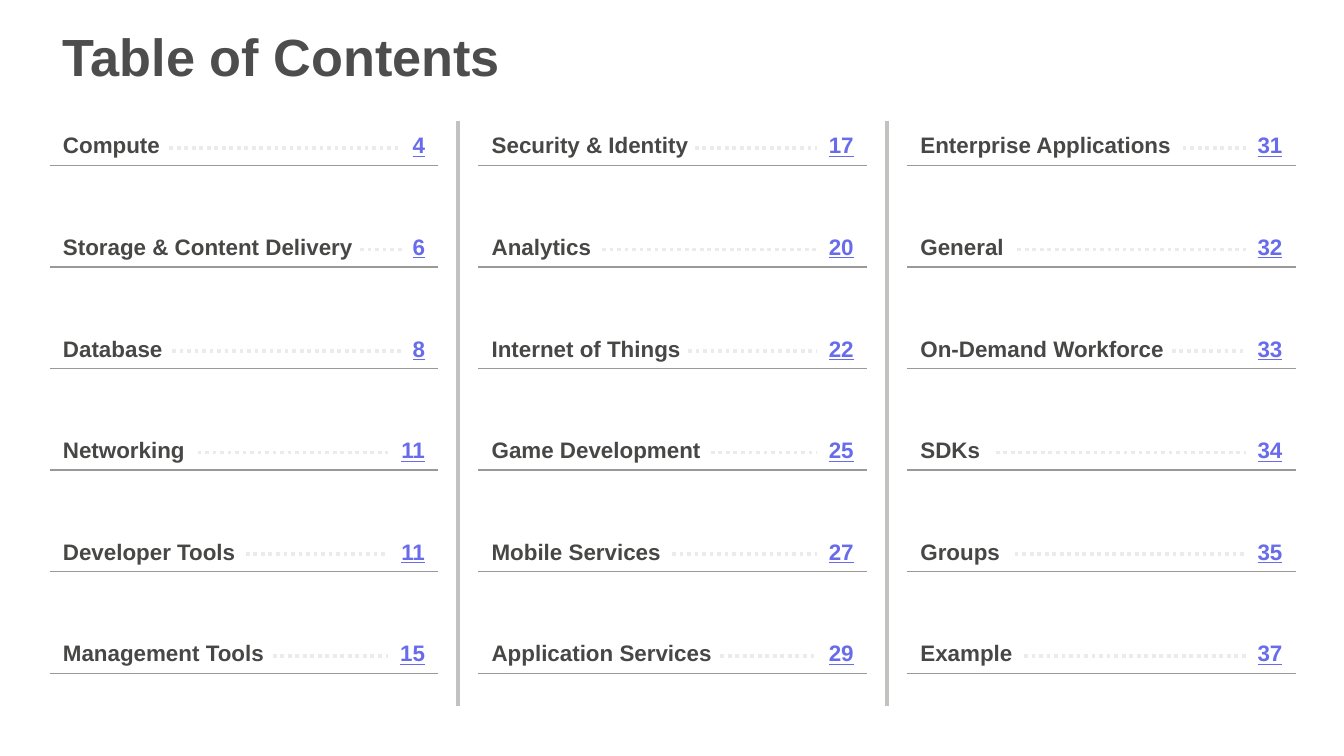
from lxml import etree
from pptx import Presentation, util as u
from pptx.dml.color import RGBColor
from pptx.enum import dml, shapes, text
from pptx.oxml.ns import qn

TITLE_GREY = RGBColor(0x4C, 0x4D, 0x4C)
LABEL_GREY = RGBColor(0x47, 0x47, 0x46)
LINK_BLUE = RGBColor(0x68, 0x6C, 0xEA)
DIVIDER_GREY = RGBColor(0xC2, 0xC2, 0xC1)
RULE_GREY = RGBColor(0x99, 0x9A, 0x98)
LEADER_GREY = RGBColor(0xEB, 0xEB, 0xEA)

# Grid, in inches
LEFT, COLUMN_STEP, COLUMN_WIDTH = 0.37, 3.19, 2.89
FIRST_RULE, LAST_RULE, ROW_COUNT = 1.23, 5.01, 6
ROW_STEP = (LAST_RULE - FIRST_RULE) / (ROW_COUNT - 1)
ENTRY_HEIGHT, NUMBER_WIDTH = 0.3, 0.39
LEADER_RISE = 0.13

# Each entry: label, page number, start of the dotted leader within the column
COLUMNS = [
    [("Compute", "4", 0.89), ("Storage & Content Delivery", "6", 2.31),
     ("Database", "8", 0.91), ("Networking", "11", 1.1),
     ("Developer Tools", "11", 1.46), ("Management Tools", "15", 1.66)],
    [("Security & Identity", "17", 1.61), ("Analytics", "20", 0.92),
     ("Internet of Things", "22", 1.56), ("Game Development", "25", 1.73),
     ("Mobile Services", "27", 1.44), ("Application Services", "29", 1.8)],
    [("Enterprise Applications", "31", 2.05), ("General", "32", 0.82),
     ("On-Demand Workforce", "33", 1.97), ("SDKs", "34", 0.66),
     ("Groups", "35", 0.8), ("Example", "37", 0.87)],
]


def add_line(page, start, end, color, width, dash=None):
    line = page.shapes.add_connector(
        shapes.MSO_CONNECTOR.STRAIGHT, *map(u.Inches, start + end))
    line.line.color.rgb = color
    line.line.width = u.Pt(width)
    if dash:
        line.line.dash_style = dash
    etree.SubElement(line._element.spPr, qn("a:effectLst"))


def add_text(page, words, frame, size, color, align=text.PP_ALIGN.LEFT,
             underline=None):
    box = page.shapes.add_textbox(*map(u.Inches, frame))
    box.text_frame.word_wrap = True
    box.text_frame.vertical_anchor = text.MSO_ANCHOR.TOP
    para = box.text_frame.paragraphs[0]
    para.text = words
    para.alignment = align
    font = para.font
    font.name, font.size, font.bold = "Arial", u.Pt(size), True
    font.color.rgb = color
    font.underline = underline


def add_entry(page, left, rule, label, number, leader_start):
    """Draw one contents line: label, dotted leader, page number and rule."""
    right, top = left + COLUMN_WIDTH, rule - ENTRY_HEIGHT
    leader_y = rule - LEADER_RISE
    leader_end = right - (0.27 if len(number) == 1 else 0.37)
    add_line(page, (left, rule), (right, rule), RULE_GREY, 0.75)
    add_line(page, (left + leader_start, leader_y), (leader_end, leader_y),
             LEADER_GREY, 2, dml.MSO_LINE.ROUND_DOT)
    add_text(page, label, (left, top, leader_start + 0.1, ENTRY_HEIGHT),
             12, LABEL_GREY)
    add_text(page, number,
             (right - NUMBER_WIDTH, top, NUMBER_WIDTH, ENTRY_HEIGHT),
             12, LINK_BLUE, text.PP_ALIGN.RIGHT, underline=True)


def main():
    deck = Presentation()
    deck.slide_width = u.Inches(10)
    deck.slide_height = deck.slide_width * 9 // 16
    page = deck.slides.add_slide(deck.slide_layouts[6])
    add_text(page, "Table of Contents", (LEFT, 0.13, 8.97, 0.6), 28, TITLE_GREY)
    for column, entries in enumerate(COLUMNS):
        left = LEFT + column * COLUMN_STEP
        if column:
            divider = left - (COLUMN_STEP - COLUMN_WIDTH) / 2
            add_line(page, (divider, 0.9), (divider, 5.25), DIVIDER_GREY, 2)
        for row, entry in enumerate(entries):
            add_entry(page, left, FIRST_RULE + row * ROW_STEP, *entry)
    deck.save("out.pptx")


if __name__ == "__main__":
    main()
